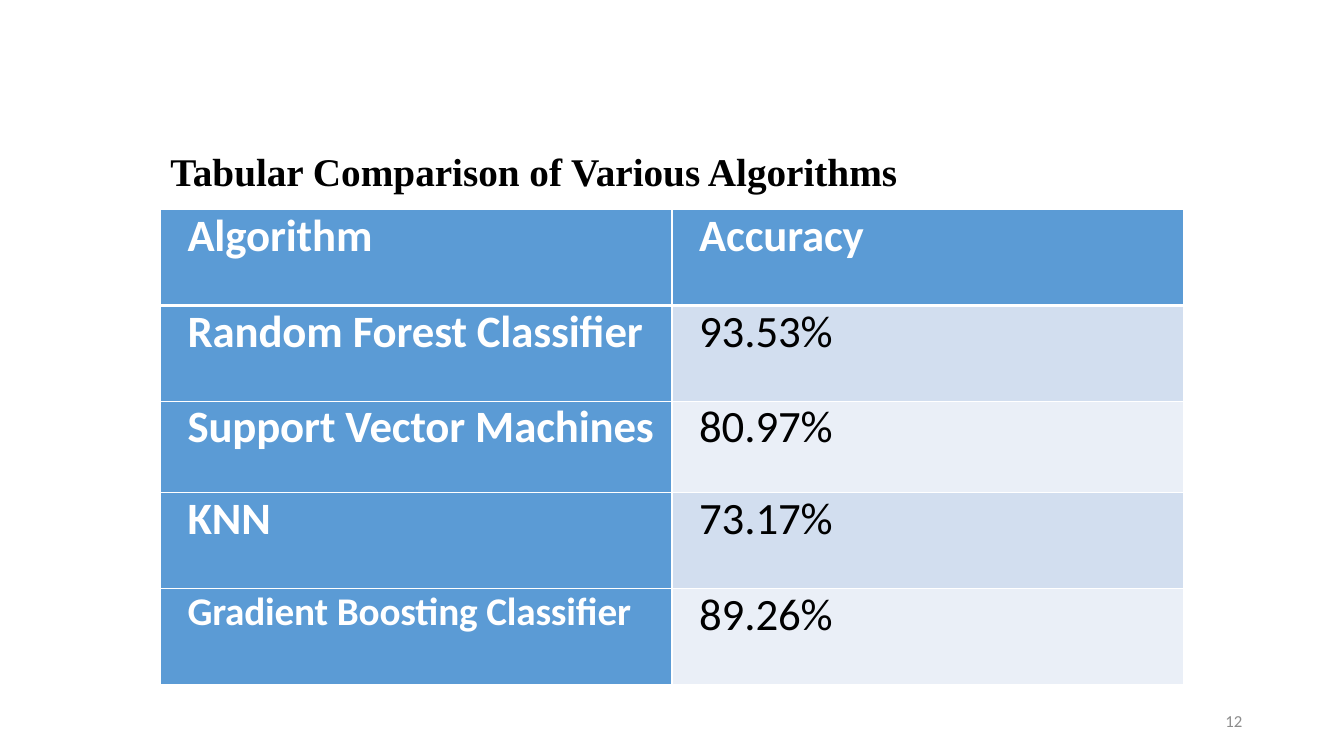
from dataclasses import dataclass

import pptx
import pptx.dml.color
import pptx.enum.text
import pptx.oxml
import pptx.oxml.ns
import pptx.util

Inches = pptx.util.Inches
Pt = pptx.util.Pt
ALIGN = pptx.enum.text.PP_ALIGN
ANCHOR = pptx.enum.text.MSO_ANCHOR
BLUE, WHITE, BLACK, GREY = "5B9BD5", "FFFFFF", "000000", "8C8C8C"
BANDS = ("D2DEEF", "EAEFF7")
LEFT, WIDTH = 1.59, 10.15


@dataclass
class Result:
    """One table row."""
    algorithm: str
    accuracy: str
    height: float = 0.95
    name_size: int = 32


RESULTS = [
    Result("Algorithm", "Accuracy"),
    Result("Random Forest Classifier", "93.53%"),
    Result("Support Vector Machines", "80.97%", height=0.91),
    Result("KNN", "73.17%"),
    Result("Gradient Boosting Classifier", "89.26%", name_size=28),
]


def rgb(color: str) -> pptx.dml.color.RGBColor:
    """Turn a hex string into a colour."""
    return pptx.dml.color.RGBColor.from_string(color)


def write(tf, text: str, *, size: float, color: str, font: str = "Calibri",
          bold: bool = False, align=ALIGN.LEFT, anchor=ANCHOR.TOP):
    """Write one formatted paragraph and return it."""
    tf.word_wrap = True
    tf.vertical_anchor = anchor
    p = tf.paragraphs[0]
    p.alignment = align
    r = p.add_run()
    r.text = text
    r.font.size, r.font.bold, r.font.name = Pt(size), bold, font
    r.font.color.rgb = rgb(color)
    return p


def add_borders(cell, bottom: float) -> None:
    """Draw white borders ahead of the cell's fill."""
    tc_pr = cell._tc.get_or_add_tcPr()
    widths = {"lnL": 1, "lnR": 1, "lnT": 1, "lnB": bottom}
    for i, (tag, width) in enumerate(widths.items()):
        tc_pr.insert(i, pptx.oxml.parse_xml(
            f'<a:{tag} {pptx.oxml.ns.nsdecls("a")} w="{Pt(width)}"><a:solidFill>'
            f'<a:srgbClr val="{WHITE}"/></a:solidFill></a:{tag}>'))


def fill_cell(cell, text: str, *, size: float, fill: str, color: str,
              bold: bool, bottom: float) -> None:
    """Fill, frame and write one table cell."""
    cell.margin_left = cell.margin_right = Inches(0.07)
    cell.margin_top = cell.margin_bottom = 0
    cell.fill.solid()
    cell.fill.fore_color.rgb = rgb(fill)
    add_borders(cell, bottom)
    p = write(cell.text_frame, text, size=size, color=color, bold=bold, align=ALIGN.JUSTIFY)
    p.line_spacing, p.space_after = 0.95, Pt(6)
    p._p.get_or_add_pPr().set("indent", str(Inches(0.2)))
    p.runs[0].font._element.set("spc", "-10")


def add_results(slide, results: list[Result]) -> None:
    """Add the accuracy table."""
    height = sum(row.height for row in results)
    table = slide.shapes.add_table(len(results), 2, Inches(LEFT), Inches(2.08),
                                   Inches(WIDTH), Inches(height)).table
    table.first_row = table.horz_banding = False
    for i, row in enumerate(results):
        table.rows[i].height = Inches(row.height)
        header = i == 0
        bottom = 3 if header else 1
        fill_cell(table.cell(i, 0), row.algorithm, size=row.name_size, fill=BLUE,
                  color=WHITE, bold=True, bottom=bottom)
        fill_cell(table.cell(i, 1), row.accuracy, size=32,
                  fill=BLUE if header else BANDS[(i - 1) % 2],
                  color=WHITE if header else BLACK, bold=header, bottom=bottom)


def main() -> None:
    """Build and save the slide."""
    prs = pptx.Presentation()
    prs.slide_width, prs.slide_height = Inches(13.33), Inches(7.5)
    slide = prs.slides.add_slide(prs.slide_layouts[5])
    title = slide.shapes.title
    title.left, title.top = Inches(LEFT), Inches(1.41)
    title.width, title.height = Inches(WIDTH), Inches(0.57)
    write(title.text_frame, "Tabular Comparison of Various Algorithms", size=28,
          color=BLACK, font="Times New Roman", bold=True)
    add_results(slide, RESULTS)
    number = slide.shapes.add_textbox(Inches(9.42), Inches(6.95), Inches(3), Inches(0.4))
    write(number.text_frame, "12", size=12, color=GREY, align=ALIGN.RIGHT,
          anchor=ANCHOR.MIDDLE)
    prs.save("out.pptx")


if __name__ == "__main__":
    main()
